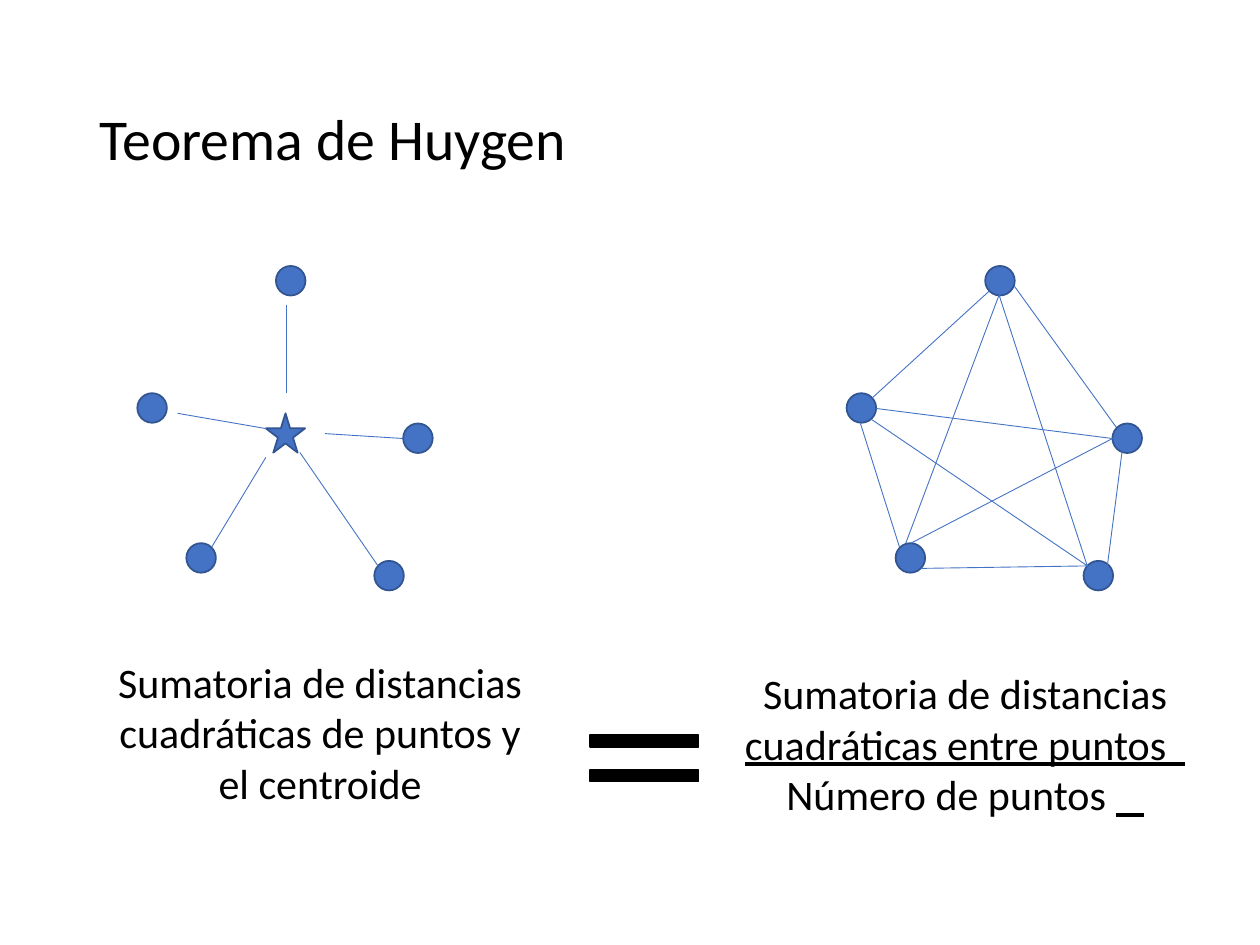
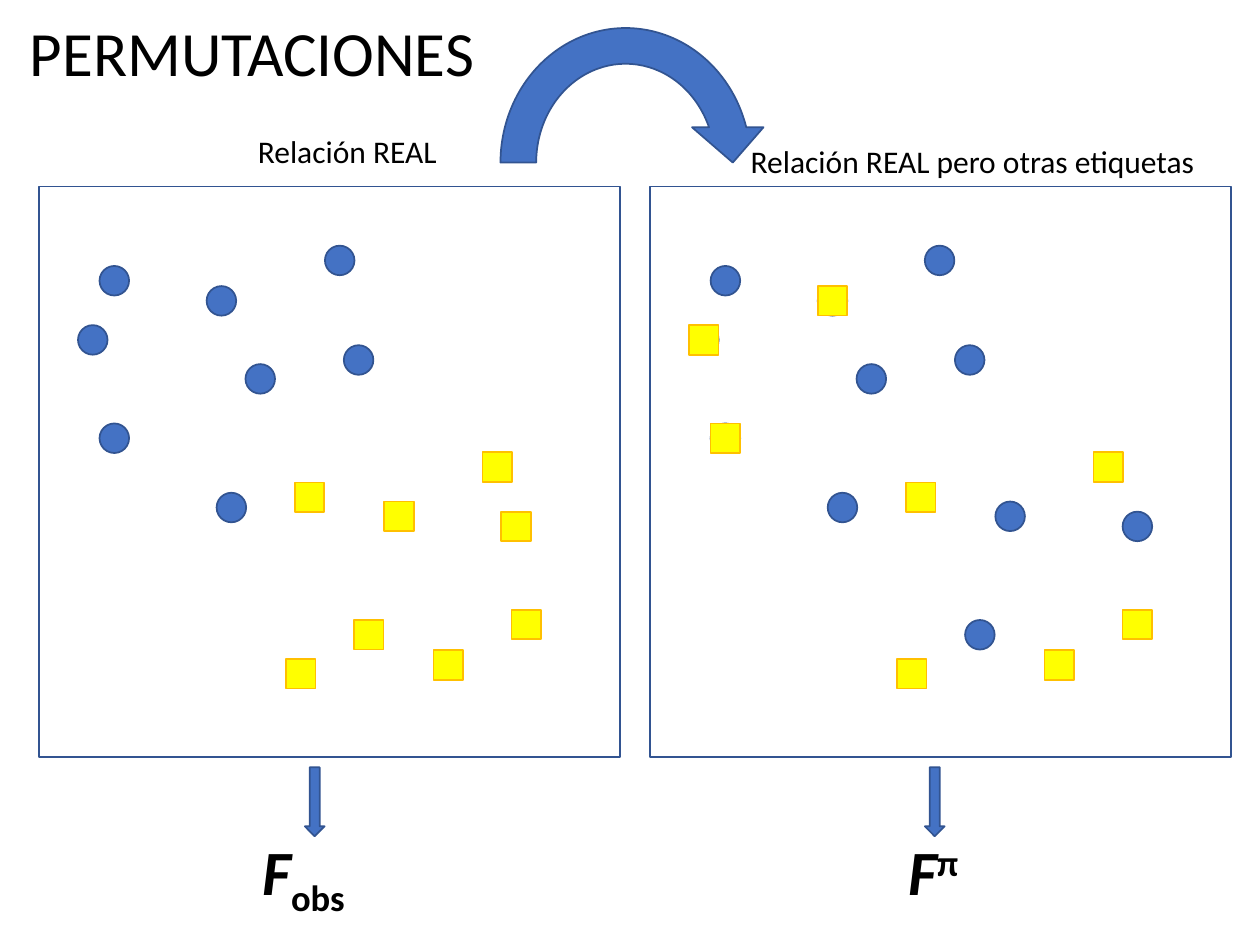
from pptx import Presentation
from pptx.dml.color import RGBColor
from pptx.enum.shapes import MSO_CONNECTOR as Connector, MSO_SHAPE as Shape
from pptx.enum.text import MSO_ANCHOR as Anchor, PP_ALIGN as Align
from pptx.oxml.ns import qn
from pptx.util import Pt

BLUE = RGBColor(0x44, 0x72, 0xC4)
DARK_BLUE = RGBColor(0x32, 0x54, 0x91)
YELLOW = RGBColor(0xFF, 0xFF, 0x00)
AMBER = RGBColor(0xFF, 0xC0, 0x00)
BLACK = RGBColor(0x00, 0x00, 0x00)

FONT = "Calibri"
MARK = 16.9
STAR = 22.5
PANEL_WIDTH, PANEL_HEIGHT = 332, 326

VERTICES = [(79.2, 0), (0, 72.7), (28, 158.4), (151.9, 90), (135.4, 168.5)]
SPOKES = [
    (85, 22.3, 85, 72.7), (151.9, 98.6, 107.3, 95.8),
    (73.4, 92.9, 23, 84.2), (73.4, 109.4, 42.5, 160.6),
    (92.9, 106.6, 137.5, 171.4),
]
PAIRS = [
    (95.8, 11.5, 154.1, 92.2), (157.7, 103.7, 149, 171.4),
    (81.4, 14.4, 14.4, 75.6), (7.9, 90, 30.2, 160.6),
    (42.5, 172.8, 137.5, 171.4), (151.9, 98.6, 36.7, 158.4),
    (87.1, 16.6, 33.8, 158.4), (87.1, 16.6, 137.5, 171.4),
    (14.4, 87.8, 139.7, 172.8), (16.6, 81.4, 151.9, 98.6),
]

FIXED_CIRCLES = [(118, 101.5), (34.6, 45.4), (101.5, 175), (174.2, 90.7)]
RELABELLED_CIRCLES = [(22.3, 79.2), (95.8, 56.9), (34.6, 135.4)]
FIXED_SQUARES = [(146.2, 169.2), (141.1, 270), (270, 241.9),
                 (253.4, 151.9), (225.4, 265)]
RELABELLED_SQUARES = [(197.3, 180), (180, 247.7)]


def apply_format(target, values):
    for name, value in values.items():
        setattr(target, name, value)


def add_figure(slide, kind, left, top, width, height, fill=BLUE, line=DARK_BLUE):
    figure = slide.shapes.add_shape(kind, Pt(left), Pt(top), Pt(width), Pt(height))
    figure.shadow.inherit = False
    if fill is None:
        figure.fill.background()
    else:
        figure.fill.solid()
        figure.fill.fore_color.rgb = fill
    figure.line.color.rgb = line
    figure.line.width = Pt(1)
    return figure


def add_marks(slide, left, top, spots, kind=Shape.OVAL, fill=BLUE, line=DARK_BLUE):
    for x, y in spots:
        add_figure(slide, kind, left + x, top + y, MARK, MARK, fill, line)


def add_squares(slide, left, top, spots):
    add_marks(slide, left, top, spots, Shape.RECTANGLE, YELLOW, AMBER)


def add_distances(slide, left, top, segments):
    for x1, y1, x2, y2 in segments:
        distance = slide.shapes.add_connector(
            Connector.STRAIGHT, Pt(left + x1), Pt(top + y1), Pt(left + x2), Pt(top + y2))
        distance.line.color.rgb = BLUE
        distance.line.width = Pt(0.5)
        properties = distance._element.spPr
        properties.append(properties.makeelement(qn("a:effectLst"), {}))


def add_text(slide, box, paragraphs, size, layout=None, frame=None):
    textbox = slide.shapes.add_textbox(*map(Pt, box))
    apply_format(textbox.text_frame, {"word_wrap": True, **(frame or {})})
    for index, pieces in enumerate(paragraphs):
        paragraph = (textbox.text_frame.add_paragraph() if index
                     else textbox.text_frame.paragraphs[0])
        apply_format(paragraph, layout or {})
        for words, style, baseline in pieces:
            run = paragraph.add_run()
            run.text = words
            apply_format(run.font, {"name": FONT, "size": Pt(size), **style})
            run.font.color.rgb = BLACK
            if baseline:
                run.font._element.set("baseline", str(baseline))


def add_title(slide, box, words, size):
    add_text(slide, box, [[(words, {}, 0)]], size,
             {"line_spacing": 0.9}, {"vertical_anchor": Anchor.MIDDLE})


def add_centroid_graph(slide, left, top):
    add_marks(slide, left, top, VERTICES)
    add_figure(slide, Shape.STAR_5_POINT, left + 73.4, top + 84.2, STAR, STAR)
    add_distances(slide, left, top, SPOKES)


def add_pair_graph(slide, left, top):
    add_marks(slide, left, top, VERTICES)
    add_distances(slide, left, top, PAIRS)


def add_equation(slide, left, top):
    centred = {"alignment": Align.CENTER}
    underlined = {"underline": True}
    add_text(slide, (left, top, 253.4, 94.3), [
        [("Sumatoria de distancias cuadráticas de puntos y el centroide", {}, 0)],
    ], 24, centred)
    equals = add_figure(slide, Shape.MATH_EQUAL, left + 270, top + 33.8,
                        84.2, 56.2, BLACK, BLACK)
    equals.adjustments[0], equals.adjustments[1] = 0.118, 0.235
    add_text(slide, (left + 349.2, top + 6.5, 292.3, 94.3), [
        [("Sumatoria de distancias ", {}, 0),
         ("cuadráticas entre puntos  ", underlined, 0)],
        [("Número de puntos ", {}, 0), ("   ", underlined, 0)],
    ], 24, centred)


def add_panel(slide, left, top, caption, caption_box):
    add_figure(slide, Shape.RECTANGLE, left, top, PANEL_WIDTH, PANEL_HEIGHT, None)
    x, y, width = caption_box
    add_text(slide, (left + x, top + y, width, 29), [[(caption, {}, 0)]], 18)
    add_marks(slide, left, top, FIXED_CIRCLES + RELABELLED_CIRCLES)
    add_squares(slide, left, top, FIXED_SQUARES)


def add_statistic(slide, left, top, text_shift, letter, index, baseline, width):
    add_figure(slide, Shape.DOWN_ARROW, left, top, 11.3, 39.4)
    add_text(slide, (left + text_shift, top + 33.9, width, 51), [
        [(letter, {"bold": True, "italic": True}, 0),
         (index, {"bold": True}, baseline)],
    ], 36)


def build_theorem(slide):
    add_title(slide, (49.7, 28.8, 620.6, 104.4), "Teorema de Huygen", 33)
    add_centroid_graph(slide, 78.5, 152)
    add_pair_graph(slide, 483.8, 152)
    add_equation(slide, 56.2, 371.5)


def build_permutations(slide):
    top, real, permuted = 106.6, 22.3, 371.5
    add_title(slide, (10, -13, 383.8, 90), "PERMUTACIONES", 36)

    add_panel(slide, real, top, "Relación REAL", (118, -34.6, 124))
    add_marks(slide, real, top, [(163.4, 33.8)])
    add_squares(slide, real, top, RELABELLED_SQUARES + [(264.2, 185.8)])
    add_statistic(slide, 174.2, 438.5, -39.6, " F", "obs", -25000, 83.5)

    add_panel(slide, permuted, top, "Relación REAL pero otras etiquetas",
              (50.4, -28.8, 270))
    add_marks(slide, permuted, top, RELABELLED_SQUARES + [(157, 33.8), (270, 185.8)])
    add_squares(slide, permuted, top, RELABELLED_CIRCLES)
    add_statistic(slide, 528.5, 438.5, -16.6, "F", "π", 30000, 56.2)

    add_figure(slide, Shape.CIRCULAR_ARROW, 275.8, 5.8, 163.4, 174.2)


def main():
    deck = Presentation()
    apply_format(deck, {"slide_width": Pt(720), "slide_height": Pt(540)})
    for build in (build_theorem, build_permutations):
        build(deck.slides.add_slide(deck.slide_layouts[6]))
    deck.save("out.pptx")


if __name__ == "__main__":
    main()
